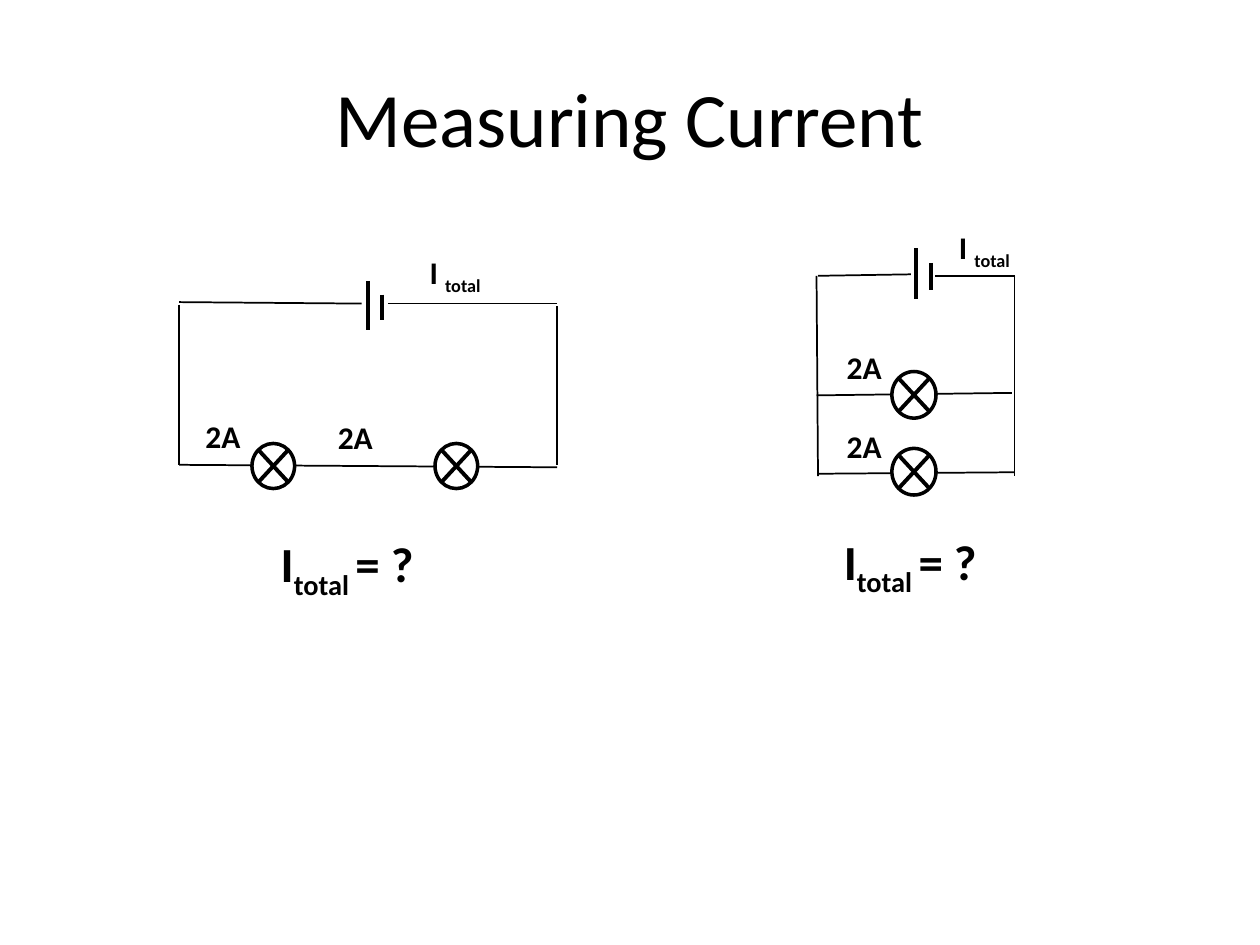
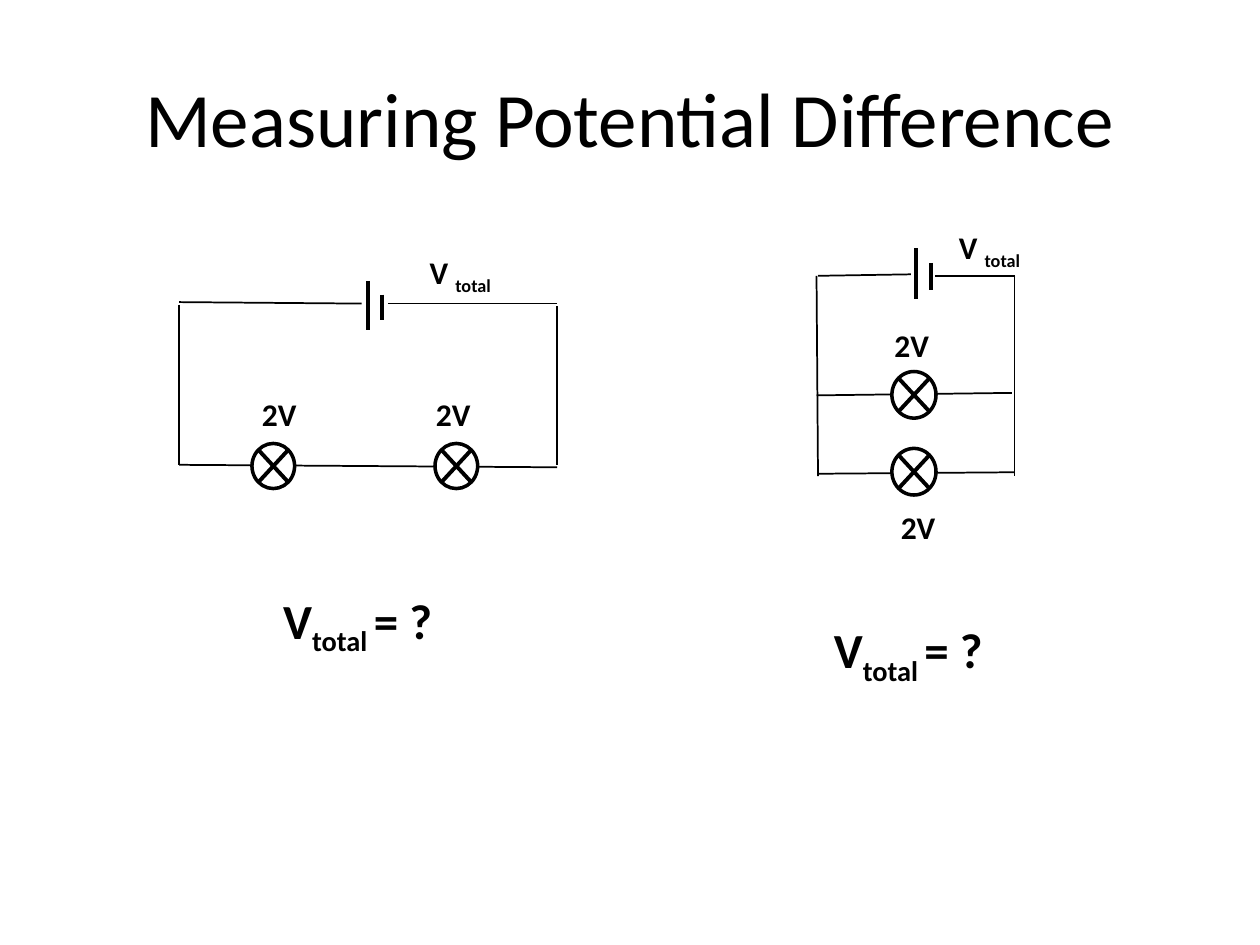
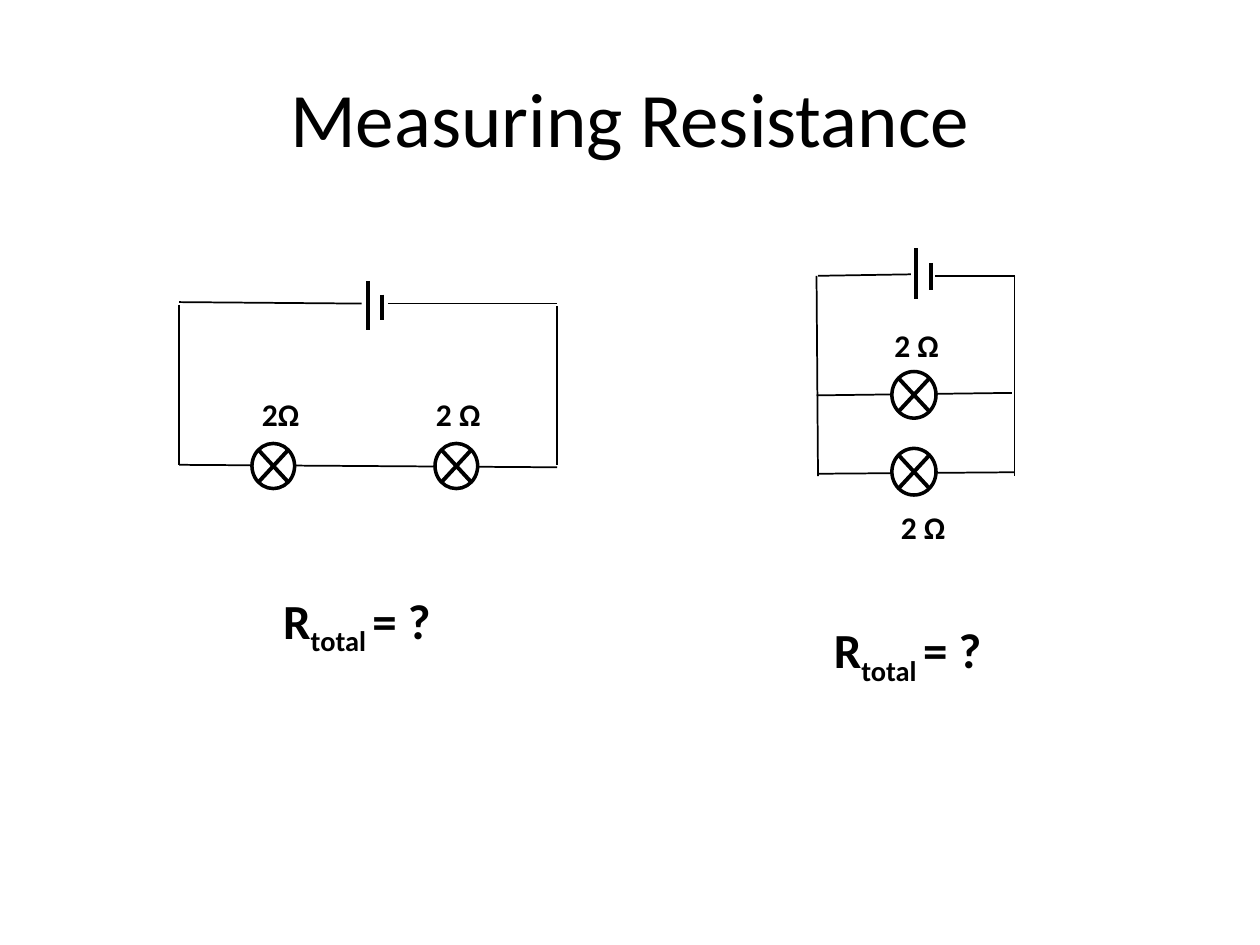
import pptx
import pptx.util
import pptx.dml.color
import pptx.enum.shapes
import pptx.enum.text
import pptx.oxml.ns
import lxml.etree

Cm = pptx.util.Cm
Pt = pptx.util.Pt
BLACK = pptx.dml.color.RGBColor(0, 0, 0)
WHITE = pptx.dml.color.RGBColor(255, 255, 255)
TITLE = {"name": "Calibri", "size": Pt(44), "bold": False}
LABEL = {"name": "Calibri", "size": Pt(18), "bold": True}
ANSWER = {"name": "Calibri", "size": Pt(28), "bold": True}
THIN, RING, THICK = Pt(1), Pt(2), Pt(2.25)

SERIES = {
    "box": (3.61, 5.66),
    "wires": [(7.62, 0.46, 4.22, 0.46), (3.68, 0.46, 0, 0.43),
              (7.62, 0.51, 7.62, 3.71), (0, 0.48, 0, 3.71),
              (0, 3.71, 7.62, 3.76)],
    "plates": [(3.81, 0, 3.81, 1), (4.09, 0.28, 4.09, 0.8)],
    "lamps": [(1.47, 3.28), (5.16, 3.28)],
    "lamp": (0.86, 0.91),
    "total": (4.8, -0.69),
}
PARALLEL = {
    "box": (16.46, 5),
    "wires": [(4.01, 0.56, 2.39, 0.56), (1.9, 0.53, 0.03, 0.56),
              (0, 0.56, 0.03, 4.6), (3.99, 0.56, 3.99, 4.6),
              (3.99, 4.52, 0.05, 4.55), (3.94, 2.92, 0, 2.97)],
    "plates": [(2.01, 0, 2.01, 1.02), (2.31, 0.3, 2.31, 0.84)],
    "lamps": [(1.52, 2.49), (1.52, 4.04)],
    "lamp": (0.89, 0.94),
    "total": (2.62, -0.53),
}
WIRE_SPOTS = [
    {"values": [(0.28, 2.62), (2.95, 2.64)], "answer": (1.8, 4.98)},
    {"values": [(0.36, 1.9), (0.36, 3.48)], "answer": (0.3, 5.59)},
]
LAMP_SPOTS = [
    {"values": [(1.42, 2.18), (4.93, 2.18)], "answer": (1.85, 6.12)},
    {"values": [(1.32, 1.45), (1.45, 5.11)], "answer": (0.1, 7.37)},
]
SLIDES = [
    {"title": "Measuring Current", "symbol": "I", "total": 1.65, "answer": 3.43,
     "spots": WIRE_SPOTS, "values": [["2A", "2A"], ["2A", "2A"]]},
    {"title": "Measuring Potential Difference", "symbol": "V", "total": 1.88,
     "answer": 3.73, "spots": LAMP_SPOTS, "values": [["2V", "2V"], ["2V", "2V"]]},
    {"title": "Measuring Resistance", "symbol": "R", "total": None, "answer": 3.73,
     "spots": LAMP_SPOTS, "values": [["2Ω", "2 Ω"], ["2 Ω", "2 Ω"]]},
]
WIDTHS = {"2A": 1.22, "2V": 1.22, "2Ω": 1.27, "2 Ω": 1.42}


def style(font, form):
    for key, value in form.items():
        setattr(font, key, value)
    font.color.rgb = BLACK


def draw_line(group, box, ends, width):
    left, top = box
    x1, y1, x2, y2 = ends
    line = group.shapes.add_connector(
        pptx.enum.shapes.MSO_CONNECTOR.STRAIGHT,
        Cm(left + x1), Cm(top + y1), Cm(left + x2), Cm(top + y2))
    line.line.color.rgb = BLACK
    line.line.width = width
    lxml.etree.SubElement(line._element.spPr, pptx.oxml.ns.qn("a:effectLst"))


def draw_lamp(group, box, size):
    left, top = box
    wide, high = size
    ring = group.shapes.add_shape(pptx.enum.shapes.MSO_SHAPE.OVAL,
                                  Cm(left), Cm(top), Cm(wide), Cm(high))
    ring.shadow.inherit = False
    ring.fill.solid()
    ring.fill.fore_color.rgb = WHITE
    ring.line.color.rgb = BLACK
    ring.line.width = RING
    gap = 0.13
    for start, end in ((gap, wide - gap), (wide - gap, gap)):
        draw_line(group, box, (start, gap, end, high - gap), THICK)


def draw_circuit(slide, plan):
    group = slide.shapes.add_group_shape()
    left, top = plan["box"]
    for kind, width in (("wires", THIN), ("plates", THICK)):
        for ends in plan[kind]:
            draw_line(group, plan["box"], ends, width)
    for x, y in plan["lamps"]:
        draw_lamp(group, (left + x, top + y), plan["lamp"])


def add_label(slide, box, spot, size, parts, form):
    shape = slide.shapes.add_textbox(Cm(box[0] + spot[0]), Cm(box[1] + spot[1]),
                                     Cm(size[0]), Cm(size[1]))
    frame = shape.text_frame
    frame.word_wrap = False
    frame.auto_size = pptx.enum.text.MSO_AUTO_SIZE.SHAPE_TO_FIT_TEXT
    for text, lowered in parts:
        run = frame.paragraphs[0].add_run()
        run.text = text
        style(run.font, form)
        if lowered:
            run._r.get_or_add_rPr().set("baseline", "-25000")


def add_labels(slide, plan, spots, values, data):
    box, symbol = plan["box"], data["symbol"]
    if data["total"]:
        add_label(slide, box, plan["total"], (data["total"], 1.02),
                  [(symbol + " ", False), ("total", True)], LABEL)
    for text, spot in zip(values, spots["values"]):
        add_label(slide, box, spot, (WIDTHS[text], 1.02), [(text, False)], LABEL)
    add_label(slide, box, spots["answer"], (data["answer"], 1.45),
              [(symbol, False), ("total ", True), ("= ?", False)], ANSWER)


def add_title(slide, text):
    title = slide.shapes.title
    title.left, title.top, title.width, title.height = map(
        Cm, (1.27, 0.76, 22.86, 3.18))
    frame = title.text_frame
    frame.text = text
    frame.vertical_anchor = pptx.enum.text.MSO_ANCHOR.MIDDLE
    frame.paragraphs[0].alignment = pptx.enum.text.PP_ALIGN.CENTER
    style(frame.paragraphs[0].runs[0].font, TITLE)


def add_page(deck, data):
    slide = deck.slides.add_slide(deck.slide_layouts.get_by_name("Title Only"))
    add_title(slide, data["title"])
    for plan, spots, values in zip((SERIES, PARALLEL), data["spots"], data["values"]):
        draw_circuit(slide, plan)
        add_labels(slide, plan, spots, values, data)


def main():
    deck = pptx.Presentation()
    deck.slide_width, deck.slide_height = Cm(25.4), Cm(19.05)
    for data in SLIDES:
        add_page(deck, data)
    deck.save("out.pptx")


if __name__ == "__main__":
    main()
